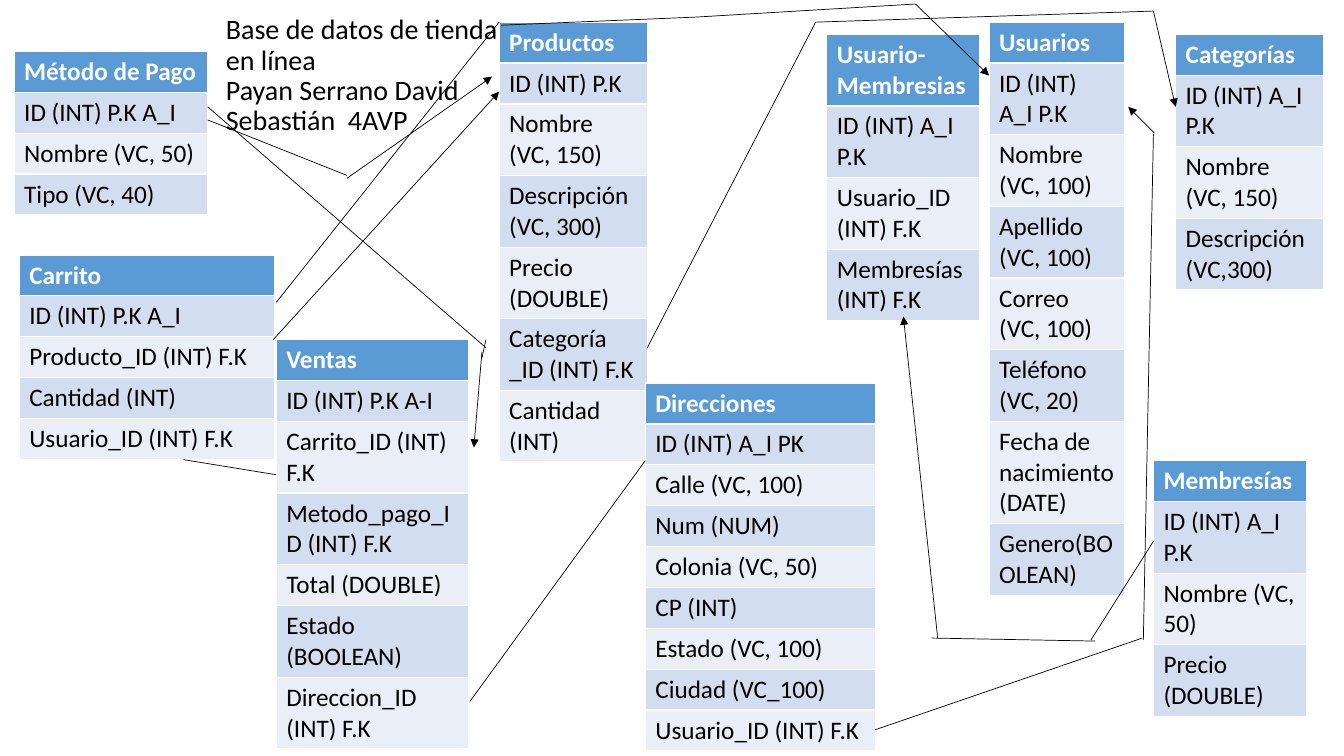
from dataclasses import dataclass

from pptx import Presentation
from pptx.dml.color import RGBColor
from pptx.enum.shapes import MSO_CONNECTOR
from pptx.enum.text import MSO_ANCHOR, MSO_AUTO_SIZE, PP_ALIGN
from pptx.oxml.ns import qn
from pptx.util import Pt
from lxml import etree

STRAIGHT = MSO_CONNECTOR.STRAIGHT
MIDDLE = MSO_ANCHOR.MIDDLE
NO_FIT = MSO_AUTO_SIZE.NONE
LEFT = PP_ALIGN.LEFT
EMU_PER_PX = 9144
TITLE_ONLY = 5
ROW_HEIGHT = 40


@dataclass(frozen=True)
class Theme:
    font: str = "Calibri"
    ink: RGBColor = RGBColor(0, 0, 0)
    header_ink: RGBColor = RGBColor(255, 255, 255)
    header: RGBColor = RGBColor.from_string("5B9BD5")
    bands: tuple = (RGBColor.from_string("EAEFF7"), RGBColor.from_string("D2DEEF"))
    title_size: Pt = Pt(20)
    table_size: Pt = Pt(18)
    line_width: Pt = Pt(0.5)


THEME = Theme()

PAGE_BOX = (0, 0, 1333, 750)
TITLE_BOX = (214, 4, 300, 143)
TITLE = "Base de datos de tienda en línea\vPayan Serrano David Sebastián  4AVP"

ENTITIES = [
    ((1166, 34, 147, 251),
     ["Categorías", "ID (INT) A_I P.K", "Nombre (VC, 150)", "Descripción\n(VC,300)"]),
    ((981, 22, 134, 560),
     ["Usuarios", "ID (INT) A_I P.K", "Nombre (VC, 100)", "Apellido (VC, 100)",
      "Correo (VC, 100)", "Teléfono (VC, 20)", "Fecha de nacimiento (DATE)",
      "Genero(BOOLEAN)"]),
    ((1144, 457, 152, 251),
     ["Membresías", "ID (INT) A_I P.K", "Nombre (VC, 50)", "Precio (DOUBLE)"]),
    ((820, 34, 152, 280),
     ["Usuario-Membresias", "ID (INT) A_I P.K", "Usuario_ID (INT) F.K",
      "Membresías\n(INT) F.K"]),
    ((495, 22, 147, 431),
     ["Productos", "ID (INT) P.K", "Nombre (VC, 150)", "Descripción (VC, 300)",
      "Precio (DOUBLE)", "Categoría _ID (INT) F.K", "Cantidad (INT)"]),
    ((14, 51, 192, 162),
     ["Método de Pago", "ID (INT) P.K A_I", "Nombre (VC, 50)", "Tipo (VC, 40)"]),
    ((640, 380, 228, 364),
     ["Direcciones", "ID (INT) A_I PK", "Calle (VC, 100)", "Num (NUM)",
      "Colonia (VC, 50)", "CP (INT)", "Estado (VC, 100)", "Ciudad (VC_100)",
      "Usuario_ID (INT) F.K"]),
    ((274, 337, 191, 400),
     ["Ventas", "ID (INT) P.K A-I", "Carrito_ID (INT) F.K",
      "Metodo_pago_ID (INT) F.K", "Total (DOUBLE)", "Estado (BOOLEAN)",
      "Direccion_ID (INT) F.K"]),
    ((19, 253, 253, 203),
     ["Carrito", "ID (INT) P.K A_I", "Producto_ID (INT) F.K", "Cantidad (INT)",
      "Usuario_ID (INT) F.K"]),
]

RELATIONS = [
    (True, [(642, 345, 809, 22), (809, 22, 1144, 11), (1144, 11, 1166, 106)]),
    (False, [(466, 696, 640, 457)]),
    (False, [(274, 471, 182, 456)]),
    (True, [(271, 337, 495, 91)]),
    (True, [(274, 300, 495, 22), (497, 25, 690, 17), (690, 17, 908, 4),
            (908, 4, 981, 75)]),
    (True, [(206, 106, 482, 345), (482, 337, 478, 355), (478, 349, 470, 444)]),
    (True, [(868, 724, 1133, 633), (1134, 635, 1144, 133), (1145, 132, 1119, 106)]),
    (True, [(1144, 537, 1082, 635), (1086, 636, 924, 633), (930, 633, 896, 314)]),
    (True, [(206, 119, 344, 174), (344, 177, 488, 76)]),
]


def px(*lengths):
    return [length * EMU_PER_PX for length in lengths]


def style_paragraphs(text_frame, size, color, bold=False):
    for para in text_frame.paragraphs:
        para.alignment = LEFT
        para.font.name = THEME.font
        para.font.size = size
        para.font.bold = bold
        para.font.color.rgb = color


def place_title(page, box):
    title = page.shapes.title
    title.left, title.top, title.width, title.height = px(*box)
    frame = title.text_frame
    frame.text = TITLE
    frame.word_wrap = True
    frame.auto_size = NO_FIT
    frame.vertical_anchor = MIDDLE
    style_paragraphs(frame, THEME.title_size, THEME.ink)
    frame.paragraphs[0].line_spacing = 0.9


def add_entity(page, box, fields):
    holder = page.shapes.add_table(len(fields), 1, *px(*box))
    table = holder.table
    for index, field in enumerate(fields):
        is_header = index == 0
        table.rows[index].height = ROW_HEIGHT * EMU_PER_PX
        cell = table.cell(index, 0)
        cell.text = field
        cell.fill.solid()
        cell.fill.fore_color.rgb = THEME.header if is_header else THEME.bands[index % 2]
        ink = THEME.header_ink if is_header else THEME.ink
        style_paragraphs(cell.text_frame, THEME.table_size, ink, is_header)
    holder.height = box[3] * EMU_PER_PX


def add_relation(page, box, has_arrow, segments):
    left, top = box[:2]
    for x1, y1, x2, y2 in segments:
        line = page.shapes.add_connector(
            STRAIGHT, *px(left + x1, top + y1, left + x2, top + y2))
        line.line.color.rgb = THEME.ink
        line.line.width = THEME.line_width
        properties = line._element.spPr
        etree.SubElement(properties, qn("a:effectLst"))
    if has_arrow:
        outline = properties.find(qn("a:ln"))
        etree.SubElement(outline, qn("a:tailEnd"), type="triangle")


def main():
    deck = Presentation()
    deck.slide_width, deck.slide_height = px(*PAGE_BOX[2:])
    page = deck.slides.add_slide(deck.slide_layouts[TITLE_ONLY])
    place_title(page, TITLE_BOX)
    for box, fields in ENTITIES:
        add_entity(page, box, fields)
    for has_arrow, segments in RELATIONS:
        add_relation(page, PAGE_BOX, has_arrow, segments)
    deck.save("out.pptx")


if __name__ == "__main__":
    main()
